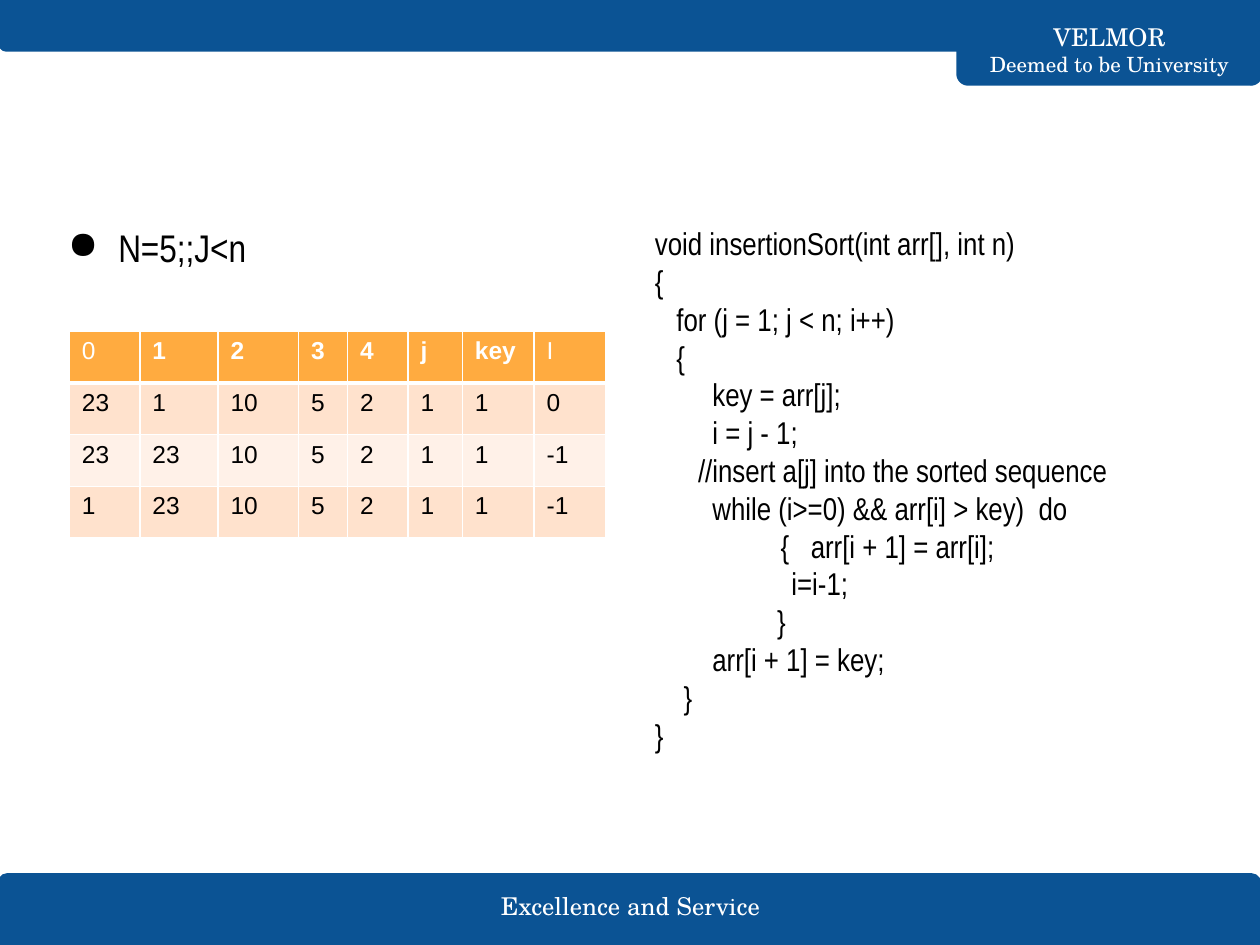
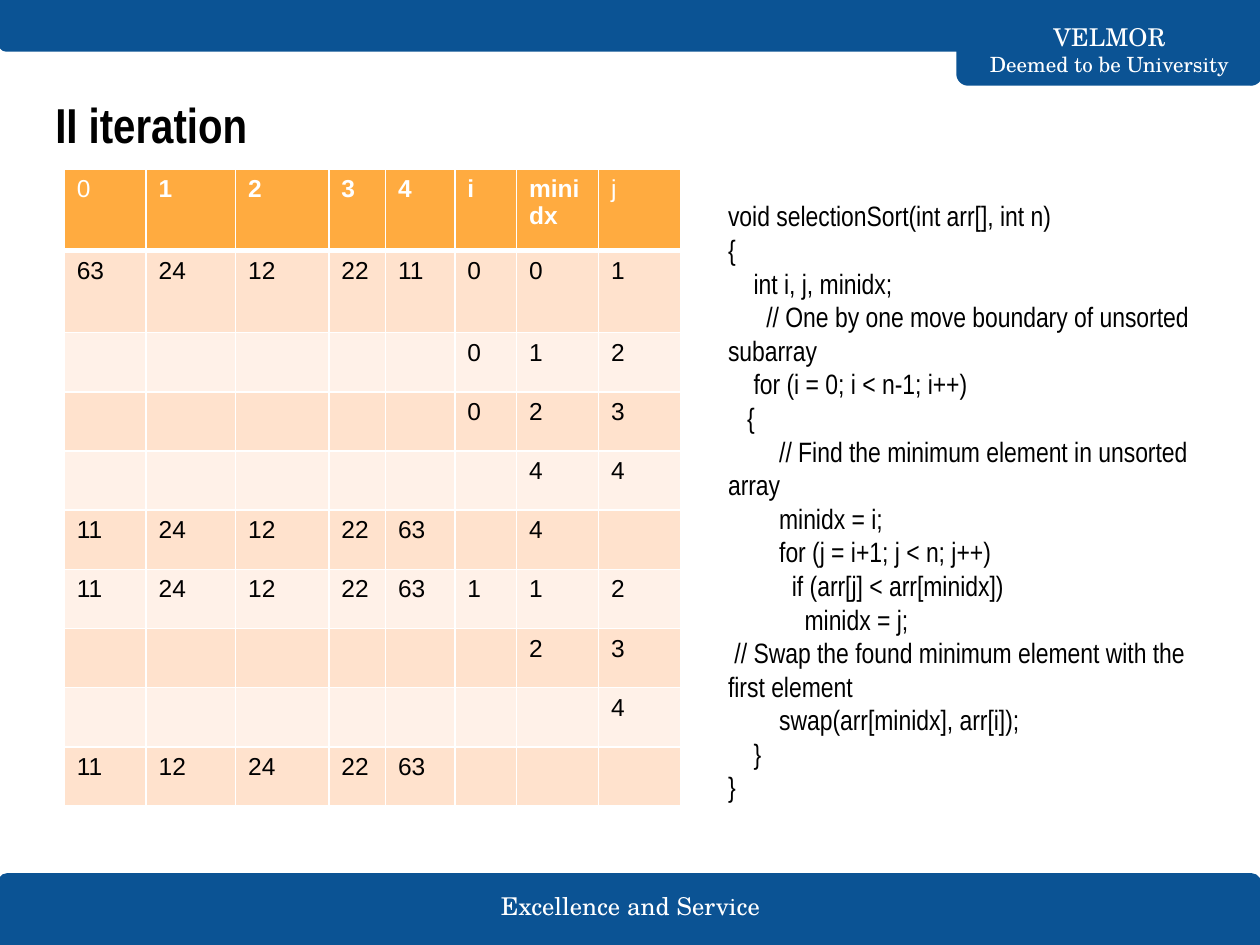
from lxml import etree
from pptx import Presentation
from pptx import util as u
from pptx.dml.color import RGBColor
from pptx.enum import shapes, text
from pptx.oxml import ns

BLUE, WHITE, BLACK = "0B5394", "FFFFFF", "000000"
HEADER_FILL, ROW_FILLS = "FFAB40", ("FFE2CD", "FFF1E8")
SERIF, NARROW, SANS = "TeX Gyre Schola", "Arial Narrow", "Arial"
SPACE_WIDTH = 0.228  # width of a space in Arial Narrow, in ems


def rgb(value):
    return RGBColor.from_string(value)


def inches(box):
    return [u.Inches(v) for v in box]


def add_run(p, words, size=14, font=NARROW, color=BLACK, bold=False):
    r = p.add_run()
    r.text = words
    r.font.size = u.Pt(size)
    r.font.name = font
    r.font.bold = bold
    r.font.color.rgb = rgb(color)
    return r


def set_indent(p, margin, first):
    pPr = p._p.get_or_add_pPr()
    pPr.set("marL", str(u.Inches(margin)))
    pPr.set("indent", str(u.Inches(first)))
    return pPr


def add_frame(s, box, anchor=text.MSO_ANCHOR.TOP):
    tf = s.shapes.add_textbox(*inches(box)).text_frame
    tf.word_wrap = True
    tf.vertical_anchor = anchor
    tf.margin_left = tf.margin_right = u.Inches(0.1)
    tf.margin_top = tf.margin_bottom = u.Inches(0.1)
    return tf


def add_band(s, box, rotation=0):
    sp = s.shapes.add_shape(shapes.MSO_SHAPE.ROUND_2_SAME_RECTANGLE, *inches(box))
    sp.adjustments[0], sp.adjustments[1] = 0.125, 0
    sp.rotation = rotation
    sp.shadow.inherit = False
    sp.fill.solid()
    sp.fill.fore_color.rgb = rgb(BLUE)
    sp.line.color.rgb = rgb(BLUE)
    sp.line.width = u.Pt(1.5)


def add_band_text(s, box, lines):
    p = add_frame(s, box, text.MSO_ANCHOR.MIDDLE).paragraphs[0]
    p.alignment = text.PP_ALIGN.CENTER
    for i, (words, size) in enumerate(lines):
        if i:
            p.add_line_break()
        add_run(p, words, size=size, font=SERIF, color=WHITE)


def add_base_slide(prs):
    s = prs.slides.add_slide(prs.slide_layouts[6])
    # Footer
    add_band(s, (-0.01, 6.94, 10.01, 0.56))
    add_band_text(s, (3.66, 7.03, 2.69, 0.32), [("Excellence and Service", 14)])
    # Header with name tab
    add_band(s, (7.6, 0, 2.41, 0.67), 180)
    add_band(s, (0, 0, 10.01, 0.4), 180)
    add_band_text(s, (7.6, 0.27, 2.41, 0.25),
                  [("VELMOR", 14), ("Deemed to be University", 12)])
    return s


def add_title(s, words):
    p = add_frame(s, (0.34, 0.65, 9.32, 0.83)).paragraphs[0]
    add_run(p, words, size=28, bold=True)


def add_bullet(s, box, words):
    p = add_frame(s, box).paragraphs[0]
    pPr = set_indent(p, 0.5, -0.4)
    color = etree.SubElement(pPr, ns.qn("a:buClr"))
    etree.SubElement(color, ns.qn("a:srgbClr"), val=BLACK)
    etree.SubElement(pPr, ns.qn("a:buChar"), char="●")
    add_run(p, words, size=22)


def add_code(s, box, lines, size):
    """Each line is its indent, counted in spaces, and its words."""
    tf = add_frame(s, box)
    for i, (spaces, words) in enumerate(lines):
        p = tf.add_paragraph() if i else tf.paragraphs[0]
        set_indent(p, 0.1, spaces * size * SPACE_WIDTH / 72)
        add_run(p, words, size=size)


def set_borders(cell, top, bottom):
    tcPr = cell._tc.get_or_add_tcPr()
    for i, (side, width) in enumerate(zip("LRTB", (1, 1, top, bottom))):
        ln = etree.Element(ns.qn(f"a:ln{side}"), w=str(u.Pt(width)))
        fill = etree.SubElement(ln, ns.qn("a:solidFill"))
        etree.SubElement(fill, ns.qn("a:srgbClr"), val=WHITE)
        tcPr.insert(i, ln)


def add_trace_table(s, left, top, widths, heights, rows):
    box = inches((left, top, sum(widths), sum(heights)))
    table = s.shapes.add_table(len(rows), len(widths), *box).table
    for column, width in zip(table.columns, widths):
        column.width = u.Inches(width)
    for i, (row, height) in enumerate(zip(rows, heights)):
        table.rows[i].height = u.Inches(height)
        for j, words in enumerate(row):
            cell = table.cell(i, j)
            cell.fill.solid()
            cell.fill.fore_color.rgb = rgb(ROW_FILLS[(i - 1) % 2] if i else HEADER_FILL)
            set_borders(cell, top=3 if i == 1 else 1, bottom=1 if i else 3)
            if words:
                inner = 0 < j < len(row) - 1
                add_run(cell.text_frame.paragraphs[0], words, font=SANS,
                        color=BLACK if i else WHITE, bold=i == 0 and inner)


def add_insertion_slide(prs):
    s = add_base_slide(prs)
    add_bullet(s, (0.34, 1.68, 9.32, 4.98), "N=5;;J<n")
    add_trace_table(
        s, 0.55, 2.63, [0.56, 0.62, 0.64, 0.39, 0.48, 0.43, 0.57, 0.57], [0.41] * 4,
        [["0", "1", "2", "3", "4", "j", "key", "I"],
         ["23", "1", "10", "5", "2", "1", "1", "0"],
         ["23", "23", "10", "5", "2", "1", "1", "-1"],
         ["1", "23", "10", "5", "2", "1", "1", "-1"]])
    add_code(s, (5, 1.68, 4.07, 4.98), [
        (0, "void insertionSort(int arr[], int n)"),
        (0, "{"),
        (3, "for (j = 1; j < n; i++)"),
        (3, "{"),
        (8, "key = arr[j];"),
        (8, "i = j - 1;"),
        (6, "//insert a[j] into the sorted sequence"),
        (8, "while (i>=0) && arr[i] > key)  do"),
        (17.5, "{   arr[i + 1] = arr[i];"),
        (19, "i=i-1;"),
        (17, "}"),
        (8, "arr[i + 1] = key;"),
        (4, "}"),
        (0, "}")], size=18)


def add_selection_slide(prs):
    s = add_base_slide(prs)
    add_title(s, "II iteration")
    add_trace_table(
        s, 0.51, 1.34, [0.65, 0.71, 0.74, 0.45, 0.55, 0.49, 0.65, 0.65],
        [0.65] * 2 + [0.47] * 8,
        [["0", "1", "2", "3", "4", "i", "minidx", "j"],
         ["63", "24", "12", "22", "11", "0", "0", "1"],
         [""] * 5 + ["0", "1", "2"],
         [""] * 5 + ["0", "2", "3"],
         [""] * 6 + ["4", "4"],
         ["11", "24", "12", "22", "63", "", "4", ""],
         ["11", "24", "12", "22", "63", "1", "1", "2"],
         [""] * 6 + ["2", "3"],
         [""] * 7 + ["4"],
         ["11", "12", "24", "22", "63", "", "", ""]])
    add_code(s, (5.58, 1.48, 4.08, 5.8), [
        (0, "void selectionSort(int arr[], int n)"),
        (0, "{"),
        (4, "int i, j, minidx;"),
        (6, "// One by one move boundary of unsorted subarray"),
        (4, "for (i = 0; i < n-1; i++)"),
        (3, "{"),
        (8, "// Find the minimum element in unsorted array"),
        (8, "minidx = i;"),
        (8, "for (j = i+1; j < n; j++)"),
        (10, "if (arr[j] < arr[minidx])"),
        (12, "minidx = j;"),
        (1, "// Swap the found minimum element with the first element"),
        (8, "swap(arr[minidx], arr[i]);"),
        (4, "}"),
        (0, "}")], size=16)


def main():
    prs = Presentation()
    prs.slide_width, prs.slide_height = u.Inches(10), u.Inches(7.5)
    add_insertion_slide(prs)
    add_selection_slide(prs)
    prs.save("out.pptx")


if __name__ == "__main__":
    main()
